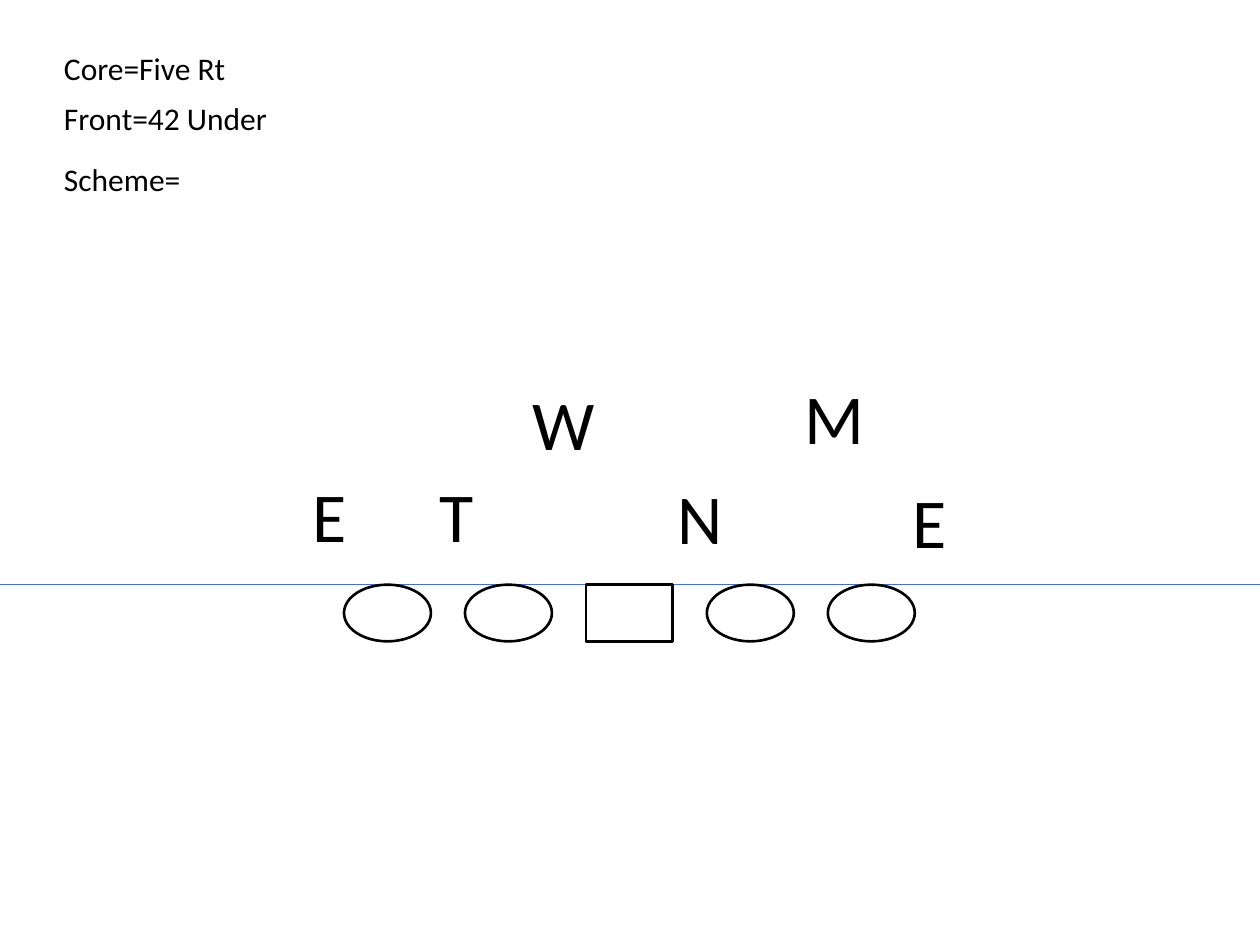
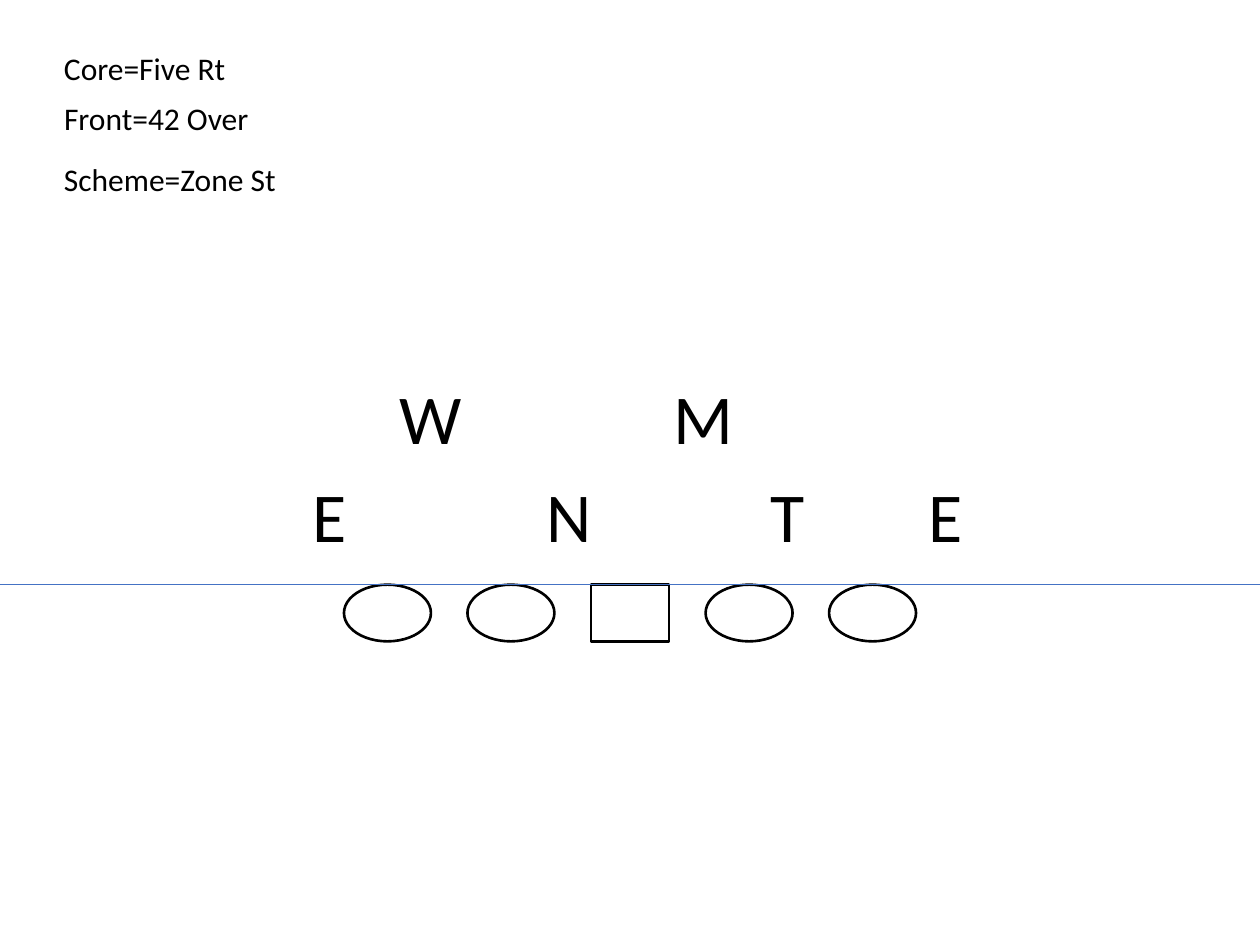
from lxml import etree
from pptx import Presentation
from pptx.dml.color import RGBColor
from pptx.enum import shapes, text
from pptx.oxml import ns
from pptx.util import Inches, Pt

BLACK = RGBColor(0x00, 0x00, 0x00)
WHITE = RGBColor(0xFF, 0xFF, 0xFF)
BLUE = RGBColor(0x44, 0x72, 0xC4)

# Shared field geometry, in inches
SCRIMMAGE = 4.64
LINE_LEFT = 2.73
LINEMAN_WIDTH, LINEMAN_HEIGHT = 0.69, 0.45
LABEL_LEFT, LABEL_HEIGHT = 0.41, 0.4
LABEL_TOPS = (0.34, 0.74, 1.22)
LETTER_HEIGHT = 0.77
LETTER_WIDTHS = {"E": 0.48, "T": 0.48, "N": 0.56, "W": 0.7, "M": 0.7}

# Labels are (wording, width); defenders are (letter, left, top)
PLAYS = [
    {
        "labels": [("Core=Five Rt", 1.5), ("Front=42 Under", 1.83), ("Scheme=", 1.14)],
        "center_width": 0.69,
        "gap": 0.27,
        "line_in_front": False,
        "defenders": [("E", 2.38, 3.7), ("T", 3.39, 3.7), ("N", 5.28, 3.72),
                      ("E", 7.14, 3.75), ("W", 4.13, 2.97), ("M", 6.29, 2.92)],
    },
    {
        "labels": [("Core=Five Rt", 1.5), ("Front=42 Over", 1.68), ("Scheme=Zone St", 1.9)],
        "center_width": 0.62,
        "gap": 0.29,
        "line_in_front": True,
        "defenders": [("E", 2.38, 3.7), ("N", 4.24, 3.7), ("T", 6.02, 3.7),
                      ("E", 7.27, 3.7), ("W", 3.07, 2.92), ("M", 5.25, 2.92)],
    },
]


def add_text(page, wording, left, top, width, height, size):
    box = page.shapes.add_textbox(Inches(left), Inches(top), Inches(width), Inches(height))
    frame = box.text_frame
    frame.word_wrap = False
    frame.auto_size = text.MSO_AUTO_SIZE.SHAPE_TO_FIT_TEXT
    span = frame.paragraphs[0].add_run()
    span.text = wording
    for name, value in {"name": "Calibri", "size": Pt(size)}.items():
        setattr(span.font, name, value)
    span.font.color.rgb = BLACK


def add_scrimmage_line(page):
    line = page.shapes.add_connector(shapes.MSO_CONNECTOR.STRAIGHT, 0, Inches(SCRIMMAGE),
                                     Inches(10), Inches(SCRIMMAGE))
    line.line.color.rgb = BLUE
    line.line.width = Pt(0.5)
    etree.SubElement(line._element.spPr, ns.qn("a:effectLst"))


deck = Presentation()
deck.slide_width, deck.slide_height = Inches(10), Inches(7.5)
blank_layout = deck.slide_layouts[6]

for play in PLAYS:
    page = deck.slides.add_slide(blank_layout)

    # Play call
    for (wording, width), top in zip(play["labels"], LABEL_TOPS):
        add_text(page, wording, LABEL_LEFT, top, width, LABEL_HEIGHT, 18)

    # Offensive line: square center between two pairs of ovals
    if not play["line_in_front"]:
        add_scrimmage_line(page)
    left = LINE_LEFT
    for position in range(5):
        is_center = position == 2
        width = play["center_width"] if is_center else LINEMAN_WIDTH
        kind = shapes.MSO_SHAPE.RECTANGLE if is_center else shapes.MSO_SHAPE.OVAL
        lineman = page.shapes.add_shape(kind, Inches(left), Inches(SCRIMMAGE),
                                        Inches(width), Inches(LINEMAN_HEIGHT))
        lineman.shadow.inherit = False
        lineman.fill.solid()
        lineman.fill.fore_color.rgb = WHITE
        lineman.line.color.rgb = BLACK
        lineman.line.width = Pt(1.5)
        left += width + play["gap"]
    if play["line_in_front"]:
        add_scrimmage_line(page)

    # Defensive front
    for letter, left, top in play["defenders"]:
        add_text(page, letter, left, top, LETTER_WIDTHS[letter], LETTER_HEIGHT, 40)

deck.save("out.pptx")
